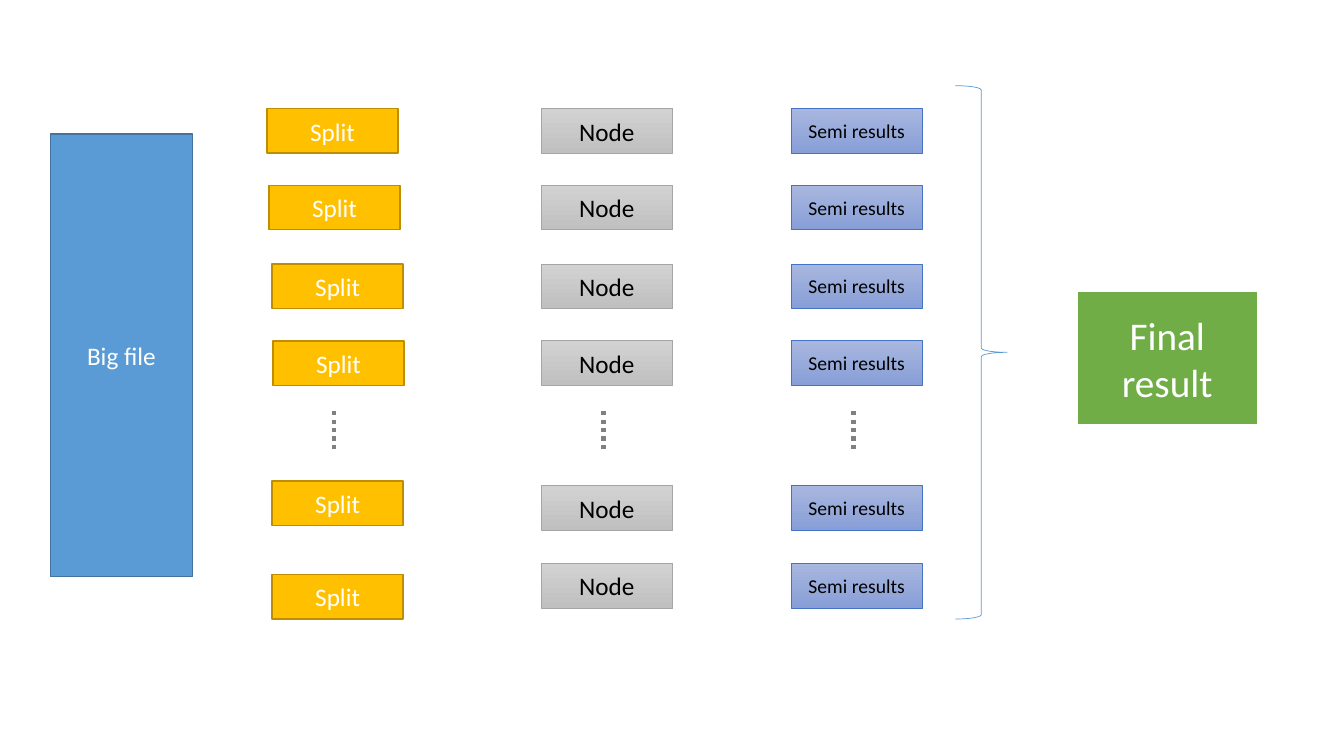
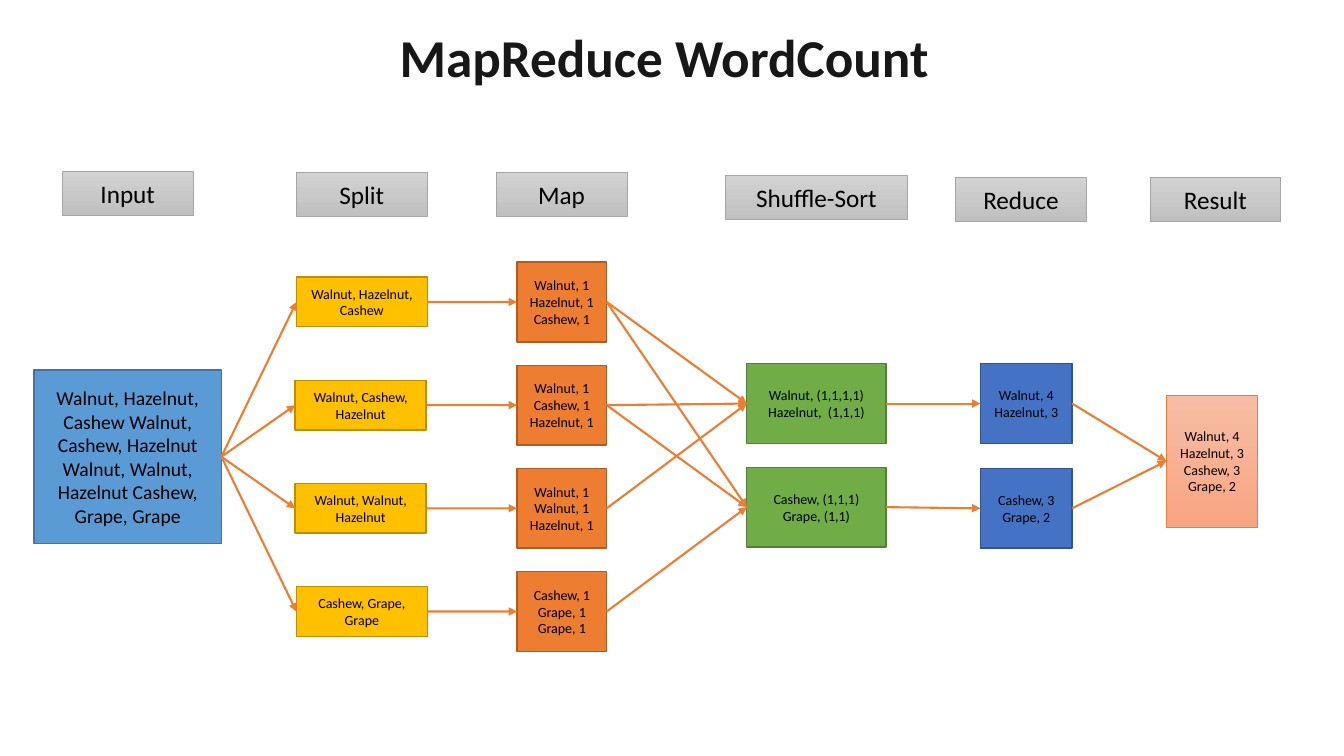
from lxml import etree
from pptx import Presentation
from pptx import util as u
from pptx.dml.color import RGBColor
from pptx.enum import dml, shapes, text
from pptx.oxml.ns import qn

# Colours
WHITE = RGBColor(0xFF, 0xFF, 0xFF)
BLACK = RGBColor(0, 0, 0)
INK = RGBColor(0x18, 0x17, 0x17)
SKY = RGBColor(0x5B, 0x9B, 0xD5)
SKY_DARK = RGBColor(0x43, 0x73, 0x9E)
GOLD = RGBColor(0xFF, 0xC0, 0x00)
GOLD_DARK = RGBColor(0xBD, 0x8E, 0x00)
GREEN = RGBColor(0x70, 0xAD, 0x47)
GREEN_DARK = RGBColor(0x53, 0x80, 0x35)
ORANGE = RGBColor(0xED, 0x7D, 0x31)
ORANGE_DARK = RGBColor(0xAF, 0x5C, 0x24)
BLUE = RGBColor(0x44, 0x72, 0xC4)
BLUE_DARK = RGBColor(0x32, 0x54, 0x91)
GREY_LINE = RGBColor(0xA5, 0xA5, 0xA5)
DOT_GREY = RGBColor(0x80, 0x80, 0x80)
GREY_FADE = (RGBColor(0xD2, 0xD2, 0xD2), RGBColor(0xC0, 0xC0, 0xC0))
BLUE_FADE = (RGBColor(0xA8, 0xB7, 0xDF), RGBColor(0x88, 0x9E, 0xD7))
PEACH_FADE = (RGBColor(0xF7, 0xBD, 0xA5), RGBColor(0xF8, 0xA5, 0x82))

# Box looks: fill (one colour or top and bottom), line colour, line width
SKY_BOX = (SKY, SKY_DARK, 1)
GOLD_BOX = (GOLD, GOLD_DARK, 1)
ORANGE_BOX = (ORANGE, ORANGE_DARK, 1)
GREEN_BOX = (GREEN, GREEN_DARK, 1)
BLUE_BOX = (BLUE, BLUE_DARK, 1)
FINAL_BOX = (GREEN, WHITE, 1.5)
GREY_BOX = (GREY_FADE, GREY_LINE, 0.5)
SEMI_BOX = (BLUE_FADE, BLUE, 0.5)
PEACH_BOX = (PEACH_FADE, ORANGE, 0.5)

FONT = "Calibri"
LABEL_W, LABEL_H = 3.3, 1.12
LEFT, RIGHT = 1, 3  # connection sites of a rectangle


def write(tf, lines, size, color, bold=False, spacing=None):
    tf.word_wrap = True
    font = {"name": FONT, "size": u.Pt(size), "bold": bold}
    for i, line in enumerate(lines):
        p = tf.paragraphs[0] if i == 0 else tf.add_paragraph()
        p.alignment = text.PP_ALIGN.CENTER
        p.line_spacing = spacing
        r = p.add_run()
        r.text = line
        for key, value in font.items():
            setattr(r.font, key, value)
        r.font.color.rgb = color


def set_line(line, color, width):
    line.color.rgb = color
    line.width = u.Pt(width)


def add_box(s, x, y, w, h, look, lines, size=10, color=BLACK):
    fill, line_color, line_width = look
    sp = s.shapes.add_shape(shapes.MSO_SHAPE.RECTANGLE, u.Cm(x), u.Cm(y), u.Cm(w), u.Cm(h))
    sp.shadow.inherit = False
    if isinstance(fill, RGBColor):
        sp.fill.solid()
        sp.fill.fore_color.rgb = fill
    else:
        sp.fill.gradient()
        sp.fill.gradient_angle = 270
        for stop, stop_color in zip(sp.fill.gradient_stops, fill):
            stop.color.rgb = stop_color
    set_line(sp.line, line_color, line_width)
    sp.text_frame.vertical_anchor = text.MSO_ANCHOR.MIDDLE
    write(sp.text_frame, lines, size, color)
    return sp


def add_row_box(s, x, mid, w, h, look, lines, size=10):
    """Box centred on the height mid."""
    return add_box(s, x, mid - h / 2, w, h, look, lines, size)


def add_line(s, color, width, x1=0, y1=0, x2=0, y2=0):
    ends = [u.Cm(v) for v in (x1, y1, x2, y2)]
    line = s.shapes.add_connector(shapes.MSO_CONNECTOR.STRAIGHT, *ends)
    set_line(line.line, color, width)
    etree.SubElement(line._element.spPr, qn("a:effectLst"))
    return line


def add_arrow(s, source, target):
    arrow = add_line(s, ORANGE, 1.5)
    arrow.begin_connect(source, RIGHT)
    arrow.end_connect(target, LEFT)
    ln = arrow._element.spPr.find(qn("a:ln"))
    etree.SubElement(ln, qn("a:tailEnd"), type="triangle")


def add_dots(s, column_x):
    x = column_x + 1.57
    dots = add_line(s, DOT_GREY, 3, x, 10.36, x, 11.38)
    dots.line.dash_style = dml.MSO_LINE.ROUND_DOT


def add_title(s, title):
    tb = s.shapes.add_textbox(u.Cm(4.04), u.Cm(0.58), u.Cm(25.4), u.Cm(1.8))
    tb.text_frame.vertical_anchor = text.MSO_ANCHOR.BOTTOM
    write(tb.text_frame, [title], 38, INK, bold=True, spacing=0.9)


def build_overview(s):
    add_box(s, 1.27, 3.38, 3.58, 11.15, SKY_BOX, ["Big file"], 18, WHITE)

    # Columns of equal boxes
    tops = [2.74, 4.67, 6.65, 8.59, 12.24, 14.2]
    split_places = zip([6.73, 6.78, 6.86, 6.88, 6.86, 6.86], tops[:4] + [12.12, 14.48])
    columns = [
        (6.84, split_places, GOLD_BOX, "Split", 18, WHITE),
        (13.64, [(13.64, y) for y in tops], GREY_BOX, "Node", 18, BLACK),
        (19.94, [(19.94, y) for y in tops], SEMI_BOX, "Semi results", 14, BLACK),
    ]
    for column_x, places, look, label, size, color in columns:
        for x, y in places:
            add_box(s, x, y, LABEL_W, LABEL_H, look, [label], size, color)
        add_dots(s, column_x)

    # Brace and outcome
    brace = s.shapes.add_shape(shapes.MSO_SHAPE.RIGHT_BRACE,
                               u.Cm(24.08), u.Cm(2.16), u.Cm(1.3), u.Cm(13.44))
    brace.shadow.inherit = False
    brace.fill.background()
    set_line(brace.line, SKY, 0.5)
    add_box(s, 27.13, 7.32, 4.57, 3.4, FINAL_BOX, ["Final result"], 28, WHITE)


def build_word_count(s):
    add_title(s, "MapReduce WordCount")

    # Stage headings
    for x, y, w, label in [
        (1.57, 4.32, LABEL_W, "Input"),
        (7.47, 4.34, LABEL_W, "Split"),
        (12.5, 4.34, LABEL_W, "Map"),
        (18.29, 4.42, 4.57, "Shuffle-Sort"),
        (24.08, 4.47, LABEL_W, "Reduce"),
        (28.98, 4.47, LABEL_W, "Result"),
    ]:
        add_box(s, x, y, w, LABEL_H, GREY_BOX, [label], 18)

    # Input, split and map
    source = add_row_box(s, 0.86, 11.51, 4.72, 4.37, SKY_BOX, [
        "Walnut, Hazelnut, Cashew Walnut, Cashew, Hazelnut Walnut, Walnut, "
        "Hazelnut Cashew, Grape, Grape"], 14)
    maps = []
    for i, (x, split_text, map_lines) in enumerate([
        (7.47, "Walnut, Hazelnut, Cashew", ["Walnut, 1 Hazelnut, 1", "Cashew, 1"]),
        (7.44, "Walnut, Cashew, Hazelnut", ["Walnut, 1", "Cashew, 1", "Hazelnut, 1"]),
        (7.44, "Walnut, Walnut, Hazelnut", ["Walnut, 1", "Walnut, 1", "Hazelnut, 1"]),
        (7.47, "Cashew, Grape, Grape", ["Cashew, 1", "Grape, 1 Grape, 1"]),
    ]):
        mid = 7.61 + 2.6 * i
        split = add_row_box(s, x, mid, LABEL_W, 1.25, GOLD_BOX, [split_text])
        maps.append(add_row_box(s, 13.03, mid, 2.26, 2.01, ORANGE_BOX, map_lines))
        add_arrow(s, source, split)
        add_arrow(s, split, maps[-1])

    # Shuffle, reduce and result
    result = add_row_box(s, 29.39, 11.62, 2.31, 3.33, PEACH_BOX,
                         ["Walnut, 4", "Hazelnut, 3", "Cashew, 3", "Grape, 2"])
    for shuffle_mid, reduce_mid, feeds, shuffle_lines, reduce_lines in [
        (10.17, 10.17, (0, 1, 2), ["Walnut, (1,1,1,1)", "Hazelnut,  (1,1,1)"],
         ["Walnut, 4", "Hazelnut, 3"]),
        (12.78, 12.81, (0, 1, 3), ["Cashew, (1,1,1)", "Grape, (1,1)"],
         ["Cashew, 3", "Grape, 2"]),
    ]:
        shuffle = add_row_box(s, 18.82, shuffle_mid, 3.51, 2.01, GREEN_BOX, shuffle_lines)
        reduced = add_row_box(s, 24.71, reduce_mid, 2.31, 2.01, BLUE_BOX, reduce_lines)
        for i in feeds:
            add_arrow(s, maps[i], shuffle)
        add_arrow(s, shuffle, reduced)
        add_arrow(s, reduced, result)


def main():
    prs = Presentation()
    prs.slide_width, prs.slide_height = u.Cm(33.87), u.Cm(19.05)
    blank = prs.slide_layouts[6]
    for build in (build_overview, build_word_count):
        build(prs.slides.add_slide(blank))
    prs.save("out.pptx")


if __name__ == "__main__":
    main()
